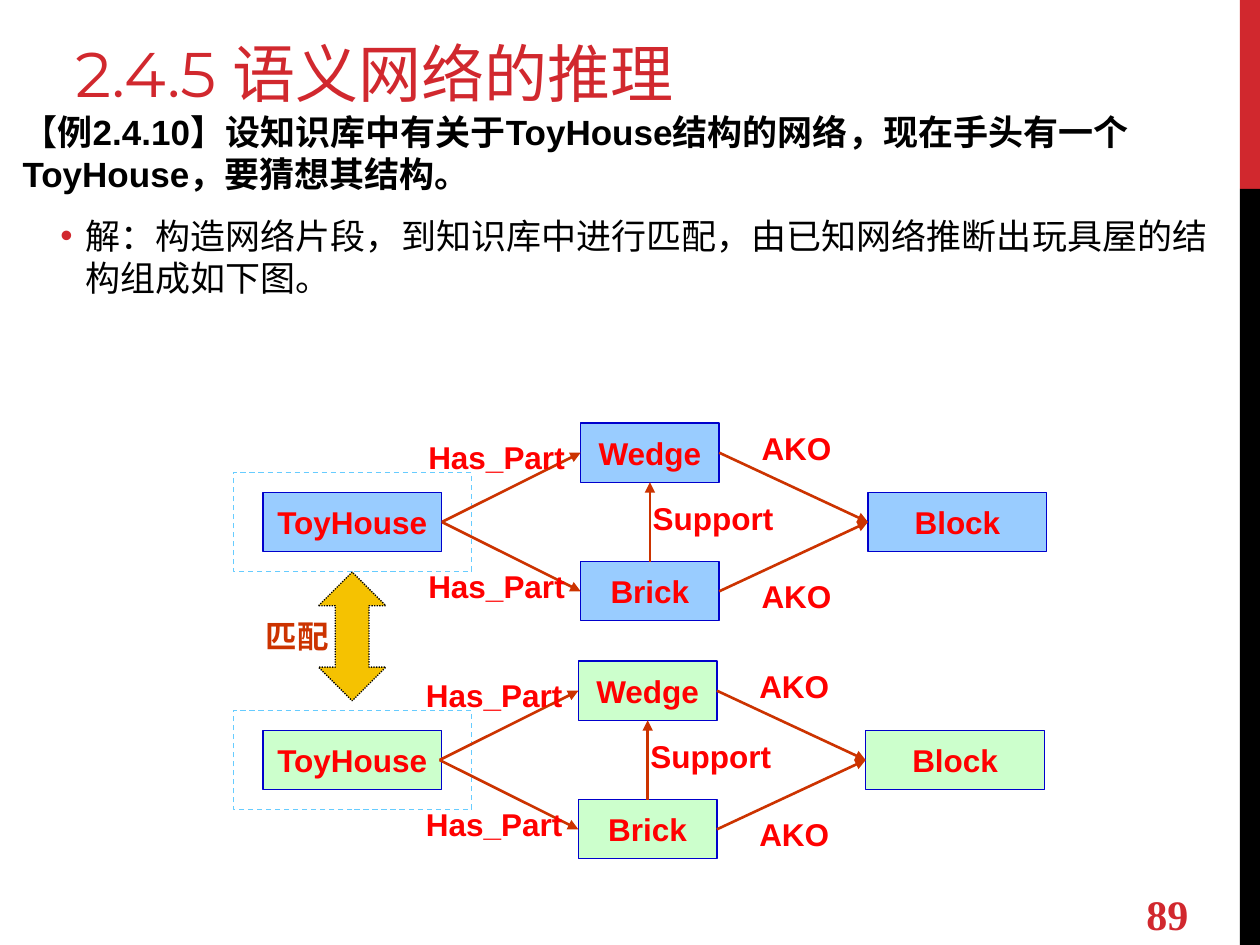
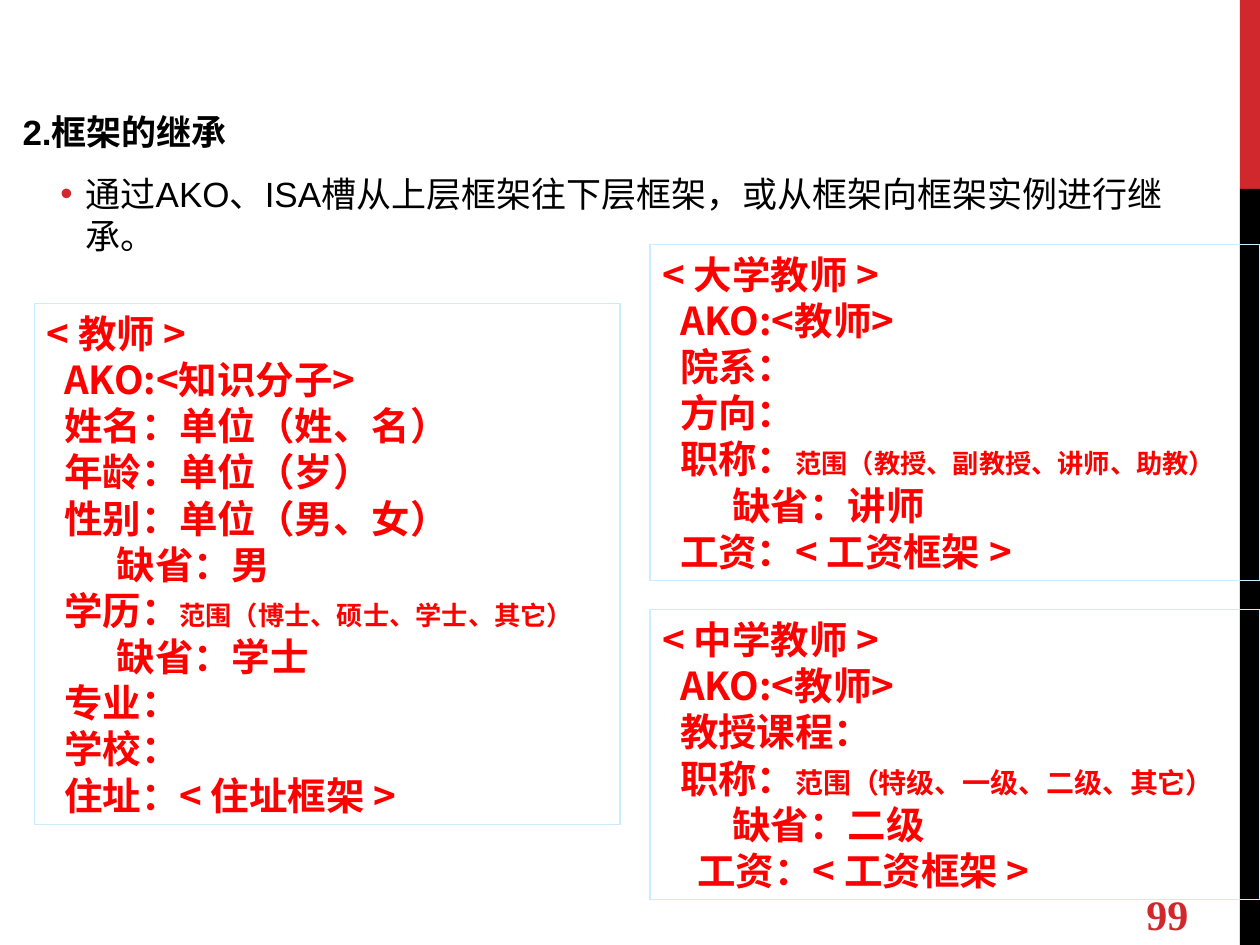
from lxml import etree
from pptx import Presentation
from pptx.dml.color import RGBColor
from pptx.enum import dml, shapes, text
from pptx.oxml.ns import qn
from pptx.util import Pt

COLORS = {
    "accent": "D1282E", "black": "000000", "red": "FF0000", "arrow": "CC3300",
    "known": "99CCFF", "fragment": "CCFFCC", "node_line": "0000CC",
    "dash": "66CCFF", "frame_line": "CCECFF", "gold": "F5C201",
}
ARIAL, CJK = "Arial", "Noto Sans CJK SC"
RECT = shapes.MSO_SHAPE.RECTANGLE
DASH = dml.MSO_LINE.DASH
DOT = dml.MSO_LINE.ROUND_DOT
CENTER = text.PP_ALIGN.CENTER
MIDDLE = text.MSO_ANCHOR.MIDDLE
BOTTOM = text.MSO_ANCHOR.BOTTOM
LINE_FACTOR = 1.2


def rgb(name):
    return RGBColor.from_string(COLORS[name])


def points(box):
    return [Pt(round(value, 2)) for value in box]


# ---- Shared helpers ----
def style_span(span, size, color, bold=True, font=ARIAL):
    span.font.size = Pt(size)
    span.font.name = font
    span.font.bold = bold
    span.font.color.rgb = rgb(color)
    east_asian = etree.SubElement(span._r.get_or_add_rPr(), qn("a:ea"))
    east_asian.set("typeface", CJK)


def style_para(para, size, color, bold=True, font=ARIAL, align=None):
    para.line_spacing = Pt(round(size * LINE_FACTOR, 1))
    para.alignment = align
    for span in para.runs:
        style_span(span, size, color, bold, font)


def add_label(page, box, words, size=18, color="red", bold=True, font=ARIAL,
              align=None, anchor=None):
    label = page.shapes.add_textbox(*points(box))
    frame = label.text_frame
    frame.word_wrap = True
    frame.vertical_anchor = anchor
    frame.text = words
    style_para(frame.paragraphs[0], size, color, bold, font, align)


def add_box(page, box, fill=None, line=None, dash=None, kind=RECT):
    shape = page.shapes.add_shape(kind, *points(box))
    shape.shadow.inherit = False
    if fill:
        shape.fill.solid()
        shape.fill.fore_color.rgb = rgb(fill)
    else:
        shape.fill.background()
    if line:
        shape.line.color.rgb = rgb(line)
        shape.line.width = Pt(0.75)
        shape.line.dash_style = dash
    else:
        shape.line.fill.background()
    return shape


def add_arrow(page, start, end):
    arrow = page.shapes.add_connector(shapes.MSO_CONNECTOR.STRAIGHT,
                                      *points(start + end))
    arrow.line.color.rgb = rgb("arrow")
    arrow.line.width = Pt(1.5)
    tip = etree.SubElement(arrow.line._get_or_add_ln(), qn("a:tailEnd"))
    tip.set("type", "triangle")
    etree.SubElement(arrow._element.spPr, qn("a:effectLst"))


# ---- Page furniture ----
def add_page(deck, number):
    page = deck.slides.add_slide(deck.slide_layouts[6])
    add_box(page, (708.5, 0, 11.5, 108), fill="accent")
    add_box(page, (708.5, 108, 11.5, 432), fill="black")
    add_label(page, (648, 507.6, 103.7, 28.8), number, 24, "accent",
              font="Times New Roman", anchor=MIDDLE)
    return page


def add_body(page, box, heading, point):
    """Bold heading with one bulleted point below it."""
    frame = page.shapes.add_textbox(*points(box)).text_frame
    frame.word_wrap = True
    frame.margin_right = Pt(12)
    frame.text = heading
    first = frame.paragraphs[0]
    style_para(first, 20, "black")
    first.space_after = Pt(6)

    para = frame.add_paragraph()
    para.text = point
    style_para(para, 20, "black", bold=False)
    para.space_before = Pt(5)
    para.level = 1
    props = para._p.get_or_add_pPr()
    props.set("marL", str(Pt(36)))
    props.set("indent", str(Pt(-14.4)))
    props.set("hangingPunct", "0")  # keep the full stop inside the box
    bullet_color = etree.SubElement(props, qn("a:buClr"))
    etree.SubElement(bullet_color, qn("a:srgbClr")).set("val", COLORS["accent"])
    etree.SubElement(props, qn("a:buFont")).set("typeface", ARIAL)
    etree.SubElement(props, qn("a:buChar")).set("char", "•")


# ---- Semantic network ----
def add_node(page, box, name, fill):
    node = add_box(page, box, fill, "node_line")
    frame = node.text_frame
    frame.word_wrap = False
    frame.vertical_anchor = MIDDLE
    frame.text = name
    style_para(frame.paragraphs[0], 18, "red", align=CENTER)


def add_network(page, left, top, fill, shift=0):
    """Draw one network; shift moves everything right of ToyHouse."""
    right = left + shift
    height, row = 33.8, 39.6
    nodes = {
        "ToyHouse": (left + 16.9, top + row, 102.2, height),
        "Wedge": (right + 198.5, top, 79.2, height),
        "Brick": (right + 198.5, top + 2 * row, 79.2, height),
        "Block": (right + 362.7, top + row, 102.2, height),
    }
    add_box(page, (left, top + 28.1, 136.1, 56.9), line="dash", dash=DASH)
    for name, box in nodes.items():
        add_node(page, box, name, fill)

    # Relations between the nodes
    middle = height / 2
    house_exit = (right + 119.2, top + row + middle)
    block_entry = (nodes["Block"][0], top + row + middle)
    for name in ("Wedge", "Brick"):
        x, y, width, _ = nodes[name]
        add_arrow(page, house_exit, (x, y + middle))
        add_arrow(page, (x + width, y + middle), block_entry)
    x, y, width, _ = nodes["Brick"]
    add_arrow(page, (x + width / 2, y), (x + width / 2, top + height))

    # Relation names
    for name, x, y, width, align in (
            ("Has_Part", 102.2, 5, 96.5, CENTER),
            ("Has_Part", 102.2, 78.5, 96.5, CENTER),
            ("Support", 232.6, row, 85, None),
            ("AKO", 294.8, 0, 96.5, None),
            ("AKO", 294.8, 84.2, 96.5, None)):
        add_label(page, (right + x, top + y, width, 28.8), name, align=align)


def add_match(page, left, top):
    add_label(page, (left, top + 22.3, 56.9, 28.8), "匹配", color="arrow")
    arrow = add_box(page, (left + 37.2, top, 38.5, 73.6), "gold", "black", DOT,
                    shapes.MSO_SHAPE.UP_DOWN_ARROW)
    arrow.adjustments[0] = 0.385
    arrow.adjustments[1] = 0.5


def build_network_page(deck):
    page = add_page(deck, "89")
    add_label(page, (36, 12.2, 455.8, 54), "2.4.5 语义网络的推理", 36, "accent",
              bold=False, font="Montserrat", anchor=BOTTOM)
    add_body(page, (5.8, 59.8, 707.8, 137.5),
             "【例2.4.10】设知识库中有关于ToyHouse结构的网络，"
             "现在手头有一个ToyHouse，要猜想其结构。",
             "解：构造网络片段，到知识库中进行匹配，"
             "由已知网络推断出玩具屋的结构组成如下图。")
    add_network(page, 133.3, 241.8, "known")
    add_network(page, 133.3, 377.8, "fragment", shift=-1.3)
    add_match(page, 144.8, 326.9)


# ---- Frames ----
def add_frame(page, box, slots, range_size=15):
    """Each slot is (indent, words) or (indent, words, value range)."""
    frame = add_box(page, box, line="frame_line").text_frame
    frame.word_wrap = True
    frame.vertical_anchor = text.MSO_ANCHOR.TOP
    for index, (indent, words, *ranges) in enumerate(slots):
        para = frame.add_paragraph() if index else frame.paragraphs[0]
        para.text = words
        style_para(para, 22, "red", font=CJK, align=text.PP_ALIGN.LEFT)
        para._p.get_or_add_pPr().set("marL", str(Pt(indent)))
        for value_range in ranges:
            span = para.add_run()
            span.text = value_range
            style_span(span, range_size, "red", font=CJK)


def build_frames_page(deck):
    page = add_page(deck, "99")
    add_body(page, (5.8, 59.8, 707.8, 103.7), "2.框架的继承",
             "通过AKO、ISA槽从上层框架往下层框架，或从框架向框架实例进行继承。")
    slot, default = 10, 40
    add_frame(page, (19.6, 173.5, 334.8, 297.6), [
        (0, "< 教师 >"),
        (slot, "AKO:<知识分子>"),
        (slot, "姓名：单位（姓、名）"),
        (slot, "年龄：单位（岁）"),
        (slot, "性别：单位（男、女）"),
        (default, "缺省：男"),
        (slot, "学历：", "范围（博士、硕士、学士、其它）"),
        (default, "缺省：学士"),
        (slot, "专业："),
        (slot, "学校："),
        (slot, "住址：< 住址框架 >"),
    ])
    add_frame(page, (371.5, 139.7, 348.5, 192), [
        (0, "< 大学教师 >"),
        (slot, "AKO:<教师>"),
        (slot, "院系："),
        (slot, "方向："),
        (slot, "职称：", "范围（教授、副教授、讲师、助教）"),
        (default, "缺省：讲师"),
        (slot, "工资：< 工资框架 >"),
    ])
    add_frame(page, (371.5, 348.5, 348.5, 165.6), [
        (0, "< 中学教师 >"),
        (slot, "AKO:<教师>"),
        (slot, "教授课程："),
        (slot, "职称：", "范围（特级、一级、二级、其它）"),
        (default, "缺省：二级"),
        (2 * slot, "工资：< 工资框架 >"),
    ], range_size=16)


def main():
    deck = Presentation()
    deck.slide_width, deck.slide_height = Pt(720), Pt(540)
    build_network_page(deck)
    build_frames_page(deck)
    deck.save("out.pptx")


if __name__ == "__main__":
    main()
